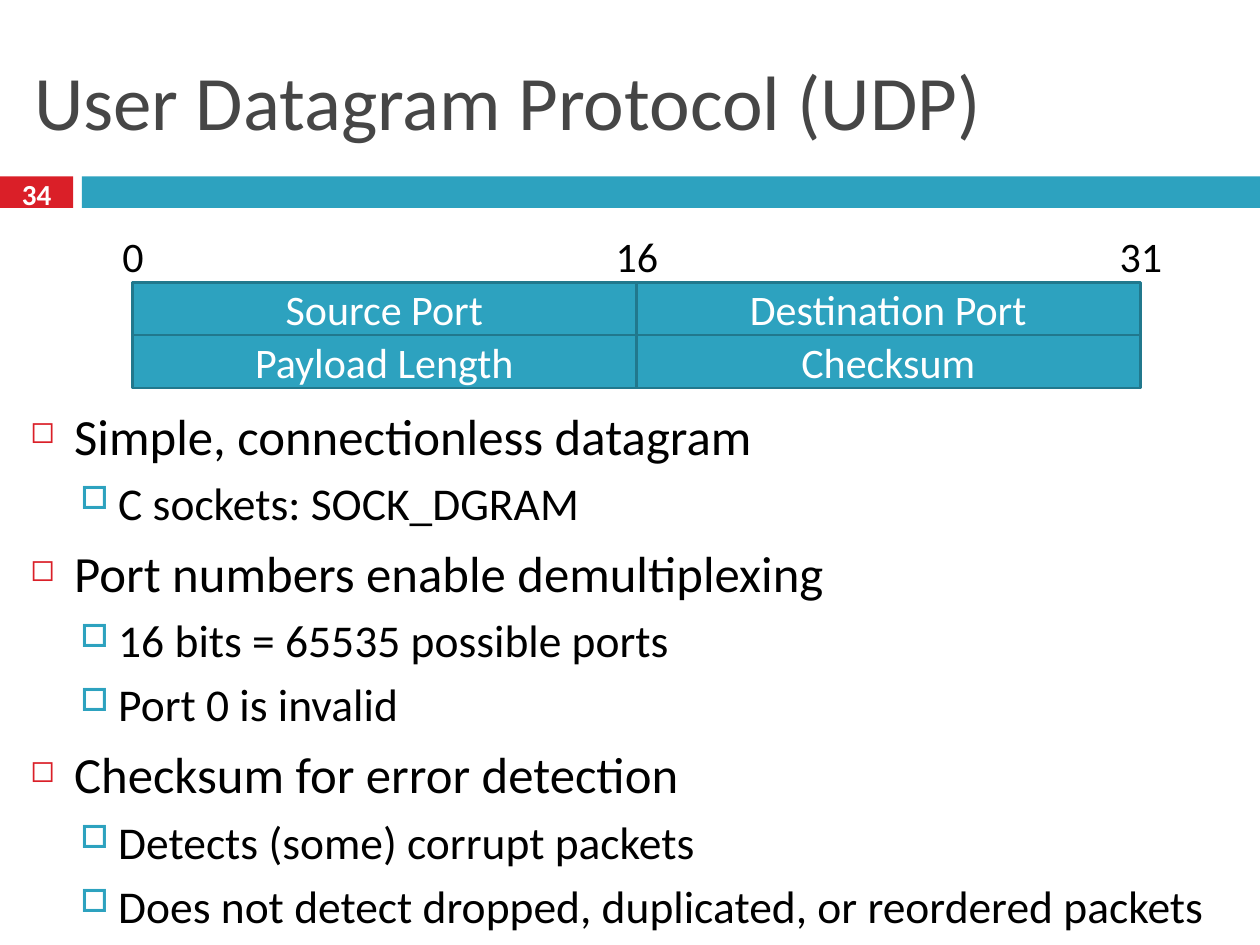
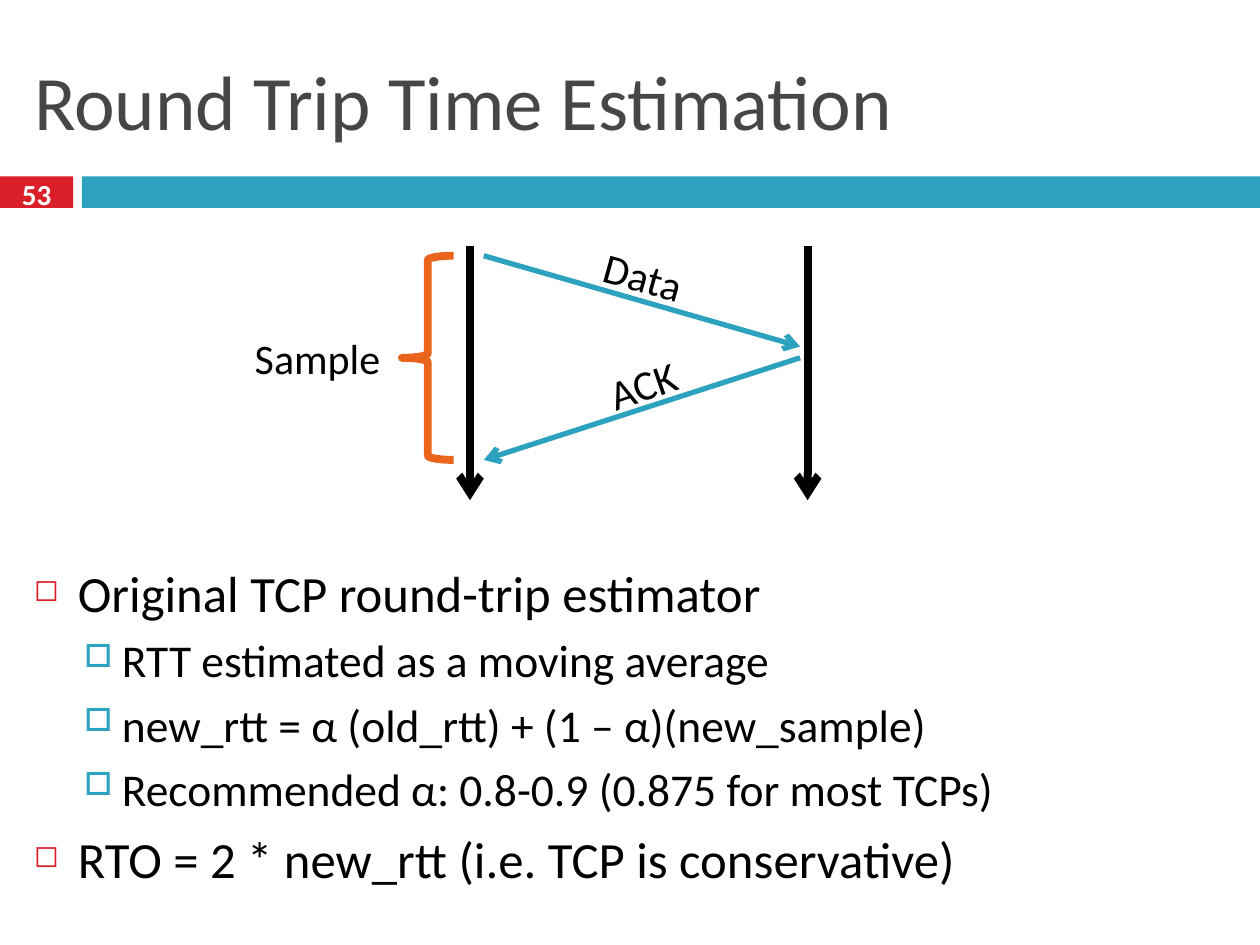
"""Build two lecture slides on UDP headers and TCP round trip time estimation."""
from dataclasses import dataclass

from lxml import etree
from pptx import Presentation
from pptx import util as u
from pptx.dml.color import RGBColor
from pptx.enum import shapes, text
from pptx.oxml.ns import qn


@dataclass(frozen=True)
class Theme:
    font: str = "Calibri"
    red: str = "DA1F28"
    teal: str = "2DA2BF"
    teal_edge: str = "21788D"
    orange: str = "EB641B"
    grey: str = "464646"
    black: str = "000000"
    white: str = "FFFFFF"
    title_size: float = 44
    number_size: float = 16.6
    label_size: float = 24


theme = Theme()
BULLETS = [
    dict(size=29, indent=0.35, hang=0.35, before=7, char="◻", colour=theme.red, percent=60),
    dict(size=26, indent=0.7, hang=0.3, before=5.5, char="□", colour=theme.teal, percent=70),
]
SLIDES = [
    dict(title="User Datagram Protocol (UDP)", number="34", body=(0.14, 3.16, 9.67, 4.16), points=[
        (0, "Simple, connectionless datagram"),
        (1, "C sockets: SOCK_DGRAM"),
        (0, "Port numbers enable demultiplexing"),
        (1, "16 bits = 65535 possible ports"),
        (1, "Port 0 is invalid"),
        (0, "Checksum for error detection"),
        (1, "Detects (some) corrupt packets"),
        (1, "Does not detect dropped, duplicated, or reordered packets"),
    ]),
    dict(title="Round Trip Time Estimation", number="53", body=(0.17, 4.41, 9.67, 2.93), points=[
        (0, "Original TCP round-trip estimator"),
        (1, "RTT estimated as a moving average"),
        (1, "new_rtt = α (old_rtt) + (1 – α)(new_sample)"),
        (1, "Recommended α: 0.8-0.9 (0.875 for most TCPs)"),
        (0, "RTO = 2 * new_rtt (i.e. TCP is conservative)"),
    ]),
]


def add_span(para, words, size, colour, bold=False):
    span = para.add_run()
    span.text = words
    span.font.name = theme.font
    span.font.size = u.Pt(size)
    span.font.bold = bold
    span.font.color.rgb = RGBColor.from_string(colour)


def add_label(box, words, size=theme.label_size, colour=theme.black, bold=False,
              align=text.PP_ALIGN.CENTER):
    frame = box.text_frame
    frame.word_wrap = True
    frame.auto_size = text.MSO_AUTO_SIZE.NONE
    frame.vertical_anchor = text.MSO_ANCHOR.MIDDLE
    para = frame.paragraphs[0]
    para.alignment = align
    add_span(para, words, size, colour, bold)


deck = Presentation()
deck.slide_width, deck.slide_height = u.Inches(10), u.Inches(7.5)
pages = []

for content in SLIDES:
    page = deck.slides.add_slide(deck.slide_layouts[5])
    pages.append(page)
    for left, width, colour in [(0, 0.58, theme.red), (0.65, 9.35, theme.teal)]:
        band = page.shapes.add_shape(shapes.MSO_SHAPE.RECTANGLE, u.Inches(left), u.Inches(1.4),
                                     u.Inches(width), u.Inches(0.25))
        band.shadow.inherit = False
        band.fill.solid()
        band.fill.fore_color.rgb = RGBColor.from_string(colour)
        band.line.fill.background()

    title = page.shapes.title
    title.left, title.top, title.width, title.height = map(u.Inches, (0.17, 0.25, 9.67, 1.08))
    add_label(title, content["title"], theme.title_size, theme.grey, align=text.PP_ALIGN.LEFT)

    number = page.shapes.add_textbox(*map(u.Inches, (0, 1.37, 0.58, 0.33)))
    add_label(number, content["number"], theme.number_size, theme.white, bold=True)

    body = page.shapes.add_textbox(*map(u.Inches, content["body"]))
    body.text_frame.word_wrap = True
    for index, (level, words) in enumerate(content["points"]):
        style = BULLETS[level]
        para = body.text_frame.add_paragraph() if index else body.text_frame.paragraphs[0]
        para.level = level
        para.space_before = u.Pt(style["before"])
        props = para._p.get_or_add_pPr()
        props.set("marL", str(u.Inches(style["indent"])))
        props.set("indent", str(-u.Inches(style["hang"])))
        bullet_colour = etree.SubElement(props, qn("a:buClr"))
        etree.SubElement(bullet_colour, qn("a:srgbClr"), val=style["colour"])
        etree.SubElement(props, qn("a:buSzPct"), val=str(style["percent"] * 1000))
        etree.SubElement(props, qn("a:buChar"), char=style["char"])
        add_span(para, words, style["size"], theme.black)

udp_page, rtt_page = pages

FIELDS = [["Source Port", "Destination Port"], ["Payload Length", "Checksum"]]
FIELD_WIDTH, FIELD_HEIGHT = 4.0, 0.42
for row, names in enumerate(FIELDS):
    for column, name in enumerate(names):
        field = udp_page.shapes.add_shape(
            shapes.MSO_SHAPE.RECTANGLE,
            u.Inches(1.05 + column * FIELD_WIDTH), u.Inches(2.24 + row * FIELD_HEIGHT),
            u.Inches(FIELD_WIDTH), u.Inches(FIELD_HEIGHT))
        field.shadow.inherit = False
        field.fill.solid()
        field.fill.fore_color.rgb = RGBColor.from_string(theme.teal)
        field.line.color.rgb = RGBColor.from_string(theme.teal_edge)
        field.line.width = u.Pt(1.5)
        add_label(field, name, colour=theme.white)

for index, bit in enumerate(["0", "16", "31"]):
    offset = udp_page.shapes.add_textbox(u.Inches(0.73 + index * FIELD_WIDTH), u.Inches(1.7),
                                         u.Inches(0.65), u.Inches(0.66))
    add_label(offset, bit)

ARROWS = [
    ((3.73, 1.95), (3.73, 3.97), theme.black, 4.5),
    ((6.41, 1.95), (6.41, 3.97), theme.black, 4.5),
    ((3.84, 2.03), (6.35, 2.75), theme.teal, 3),
    ((6.35, 2.84), (3.84, 3.65), theme.teal, 3),
]
for start, end, colour, weight in ARROWS:
    arrow = rtt_page.shapes.add_connector(shapes.MSO_CONNECTOR.STRAIGHT,
                                          *map(u.Inches, start + end))
    arrow.line.color.rgb = RGBColor.from_string(colour)
    arrow.line.width = u.Pt(weight)
    etree.SubElement(arrow.line._get_or_add_ln(), qn("a:tailEnd"), type="arrow")
    etree.SubElement(arrow._element.spPr, qn("a:effectLst"))

brace = rtt_page.shapes.add_shape(shapes.MSO_SHAPE.LEFT_BRACE,
                                  *map(u.Inches, (3.19, 2.03, 0.41, 1.62)))
brace.shadow.inherit = False
brace.fill.background()
brace.line.color.rgb = RGBColor.from_string(theme.orange)
brace.line.width = u.Pt(4.5)

CAPTIONS = [
    ("Data", 4.01, 1.94, 2.19, 15.6),
    ("ACK", 4.52, 2.8, 1.16, 341),
    ("Sample", 1.78, 2.59, 1.48, 0),
]
for words, left, top, width, angle in CAPTIONS:
    caption = rtt_page.shapes.add_textbox(*map(u.Inches, (left, top, width, 0.5)))
    caption.rotation = angle
    add_label(caption, words)

deck.save("out.pptx")
